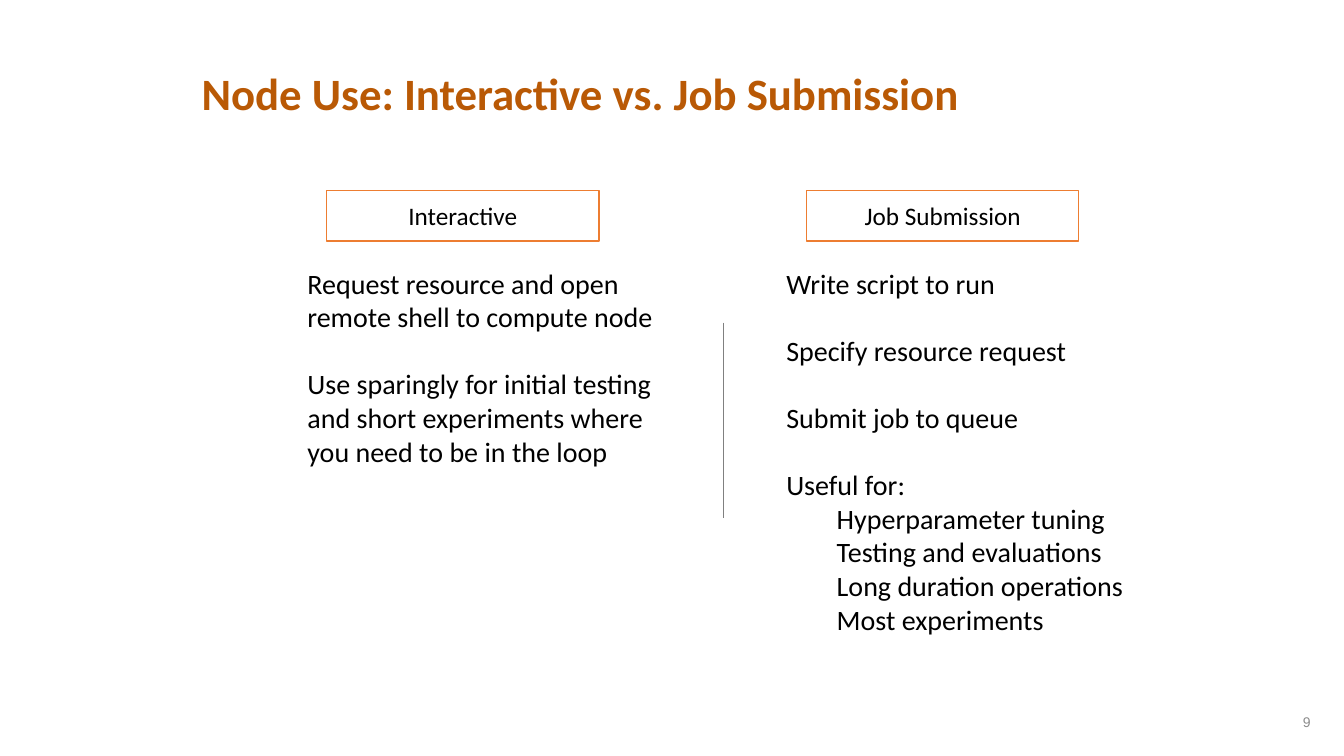
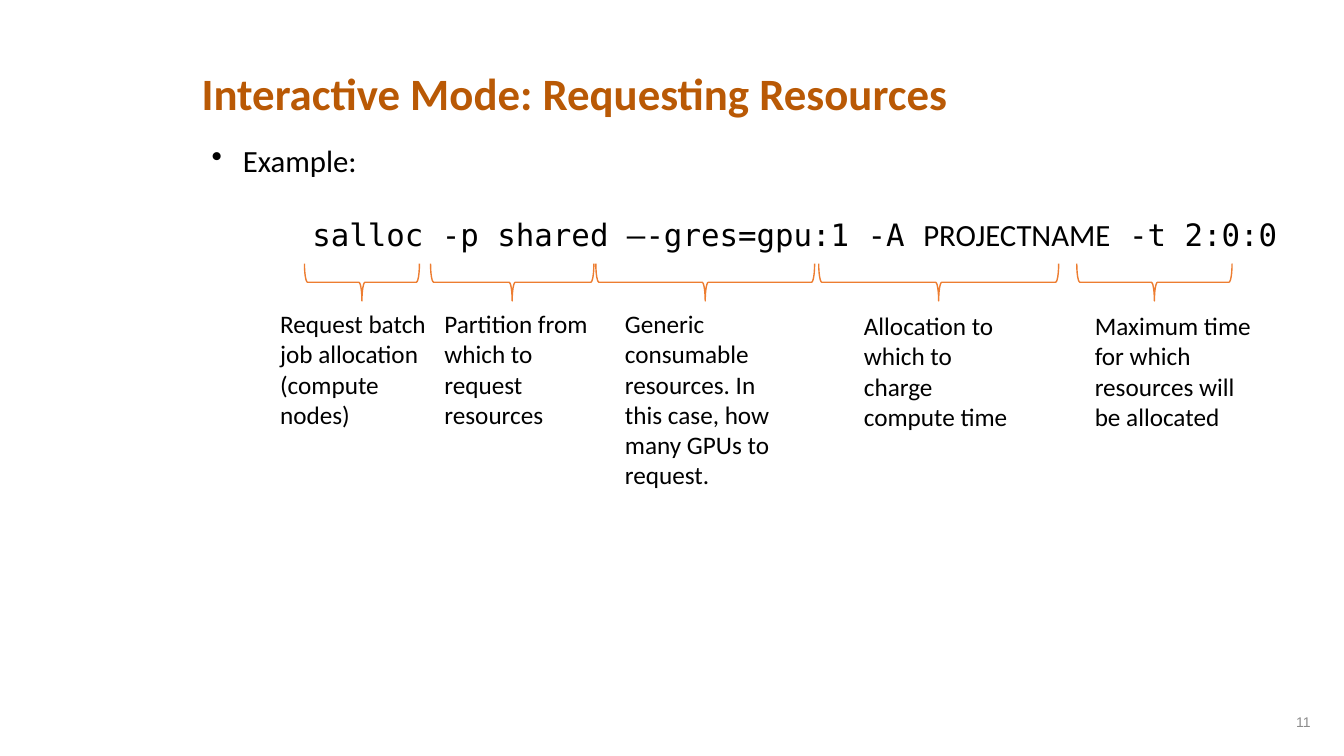
from dataclasses import dataclass
from typing import NamedTuple

from pptx import Presentation
from pptx.dml.color import RGBColor
from pptx.enum.shapes import MSO_CONNECTOR, MSO_SHAPE
from pptx.enum.text import MSO_ANCHOR, PP_ALIGN
from pptx.oxml.ns import qn
from pptx.util import Inches, Pt

RECT = MSO_SHAPE.RECTANGLE
BRACE = MSO_SHAPE.LEFT_BRACE
LINE = MSO_CONNECTOR.STRAIGHT
MIDDLE = MSO_ANCHOR.MIDDLE
BOTTOM = MSO_ANCHOR.BOTTOM
CENTER = PP_ALIGN.CENTER
RIGHT = PP_ALIGN.RIGHT

BODY, SMALL, CODE = "Calibri", "Arial", "DejaVu Sans Mono"
BLACK, WHITE, RUST = "000000", "FFFFFF", "B95905"
ORANGE, GREY, PALE = "ED7D31", "808080", "8C8C8C"

TITLE = {"name": BODY, "size": Pt(32), "bold": True, "color": RUST}
FOOTER = {"name": SMALL, "size": Pt(10), "color": PALE}
LARGE = {"name": BODY, "size": Pt(22), "color": BLACK}
MONO = {**LARGE, "name": CODE}
TEXT = {"name": BODY, "size": Pt(20), "color": BLACK}
LABEL = {"name": BODY, "size": Pt(18), "color": BLACK}

BRACE_MID = 2.8
BRACE_DEPTH = 0.37


class Para(NamedTuple):
    runs: list[tuple[str, dict]]
    format: dict = {}
    margin: float = 0
    hanging: float = 0
    bullet: str = ""


@dataclass
class Column:
    head: str
    head_left: float
    text_left: float
    width: float
    height: float
    paras: list[Para]


@dataclass
class Option:
    start: float
    length: float
    left: float
    top: float
    width: float
    height: float
    note: str


def color(value: str) -> RGBColor:
    return RGBColor.from_string(value)


def outline(shape, value: str, width: float) -> None:
    shape.line.color.rgb = color(value)
    shape.line.width = Pt(width)


def style(font, values: dict) -> None:
    for key, value in values.items():
        if key == "color":
            font.color.rgb = color(value)
        else:
            setattr(font, key, value)


def write(frame, paras: list[Para]) -> None:
    for index, item in enumerate(paras):
        para = frame.add_paragraph() if index else frame.paragraphs[0]
        for key, value in item.format.items():
            setattr(para, key, value)
        props = para._p.get_or_add_pPr()
        props.set("marL", str(Inches(item.margin)))
        props.set("indent", str(Inches(-item.hanging)))
        if item.bullet:
            mark = props.makeelement(qn("a:buChar"), {"char": item.bullet})
            props.append(mark)
        for text, values in item.runs:
            run = para.add_run()
            run.text = text
            style(run.font, values)


def add_text(slide, left: float, top: float, width: float, height: float,
             paras: list[Para], **format) -> None:
    box = slide.shapes.add_textbox(
        Inches(left), Inches(top), Inches(width), Inches(height))
    frame = box.text_frame
    frame.word_wrap = True
    for key, value in format.items():
        setattr(frame, key, value)
    write(frame, paras)


def add_page(deck, title: str, number: int):
    slide = deck.slides.add_slide(deck.slide_layouts[6])
    flush = {f"margin_{side}": 0 for side in ("left", "top", "right", "bottom")}
    add_text(slide, 2, 0.4, 11, 1.1,
             [Para([(title, TITLE)], {"line_spacing": 0.9})],
             vertical_anchor=MIDDLE, **flush)
    add_text(slide, 12.6, 7, 0.4, 0.25,
             [Para([(str(number), FOOTER)], {"alignment": RIGHT})],
             vertical_anchor=BOTTOM, **flush)
    return slide


def add_column(slide, column: Column) -> None:
    box = slide.shapes.add_shape(
        RECT, Inches(column.head_left), Inches(1.89), Inches(2.7), Inches(0.5))
    box.shadow.inherit = False
    box.fill.solid()
    box.fill.fore_color.rgb = color(WHITE)
    outline(box, ORANGE, 1)
    box.text_frame.vertical_anchor = MIDDLE
    write(box.text_frame,
          [Para([(column.head, LABEL)], {"alignment": CENTER})])
    add_text(slide, column.text_left, 2.59, column.width, column.height,
             column.paras)


def add_divider(slide) -> None:
    line = slide.shapes.add_connector(
        LINE, Inches(7.17), Inches(3.2), Inches(7.17), Inches(5.14))
    outline(line, GREY, 0.5)
    props = line._element.spPr
    props.append(props.makeelement(qn("a:effectLst"), {}))


def add_option(slide, option: Option) -> None:
    left = option.start + (option.length - BRACE_DEPTH) / 2
    top = BRACE_MID - option.length / 2
    brace = slide.shapes.add_shape(
        BRACE, Inches(left), Inches(top),
        Inches(BRACE_DEPTH), Inches(option.length))
    brace.rotation = 270
    brace.shadow.inherit = False
    brace.fill.background()
    outline(brace, ORANGE, 1)
    add_text(slide, option.left, option.top, option.width, option.height,
             [Para([(option.note, LABEL)])])


def spaced(lines: list[str]) -> list[Para]:
    return [Para([(line, TEXT)], {"space_before": Pt(24 if index else 0)})
            for index, line in enumerate(lines)]


def nested(lines: list[str]) -> list[Para]:
    return [Para([(line, TEXT)], {"level": 1}, 0.5) for line in lines]


COLUMNS = [
    Column("Interactive", 3.24, 2.95, 3.72, 2.12, spaced([
        "Request resource and open remote shell to compute node",
        "Use sparingly for initial testing and short experiments "
        "where you need to be in the loop",
    ])),
    Column("Job Submission", 8, 7.7, 3.58, 3.8, spaced([
        "Write script to run",
        "Specify resource request",
        "Submit job to queue",
        "Useful for:",
    ]) + nested([
        "Hyperparameter tuning",
        "Testing and evaluations",
        "Long duration operations",
        "Most experiments",
    ])),
]

COMMAND = [
    Para([("Example:", LARGE)], margin=0.31, hanging=0.31, bullet="•"),
    Para([("salloc -p shared –-gres=gpu:1 -A ", MONO),
          ("PROJECTNAME", LARGE),
          (" -t 2:0:0", MONO)], {"space_before": Pt(26)}, 1),
]

OPTIONS = [
    Option(3.02, 1.14, 2.68, 3.01, 1.68, 1.31,
           "Request batch job allocation (compute nodes)"),
    Option(4.27, 1.62, 4.31, 3.01, 1.67, 1.31,
           "Partition from which to request resources"),
    Option(5.91, 2.17, 6.1, 3.01, 1.8, 1.92,
           "Generic consumable resources. In this case, "
           "how many GPUs to request."),
    Option(8.12, 2.38, 8.47, 3.03, 1.74, 1.31,
           "Allocation to which to charge compute time"),
    Option(10.68, 1.54, 10.76, 3.03, 1.8, 1.31,
           "Maximum time for which resources will be allocated"),
]


def main() -> None:
    deck = Presentation()
    deck.slide_width = Inches(13.33)
    deck.slide_height = Inches(7.5)

    modes = add_page(deck, "Node Use: Interactive vs. Job Submission", 9)
    for column in COLUMNS:
        add_column(modes, column)
    add_divider(modes)

    request = add_page(deck, "Interactive Mode: Requesting Resources", 11)
    add_text(request, 2, 1.36, 10.92, 1.21, COMMAND)
    for option in OPTIONS:
        add_option(request, option)

    deck.save("out.pptx")


if __name__ == "__main__":
    main()
